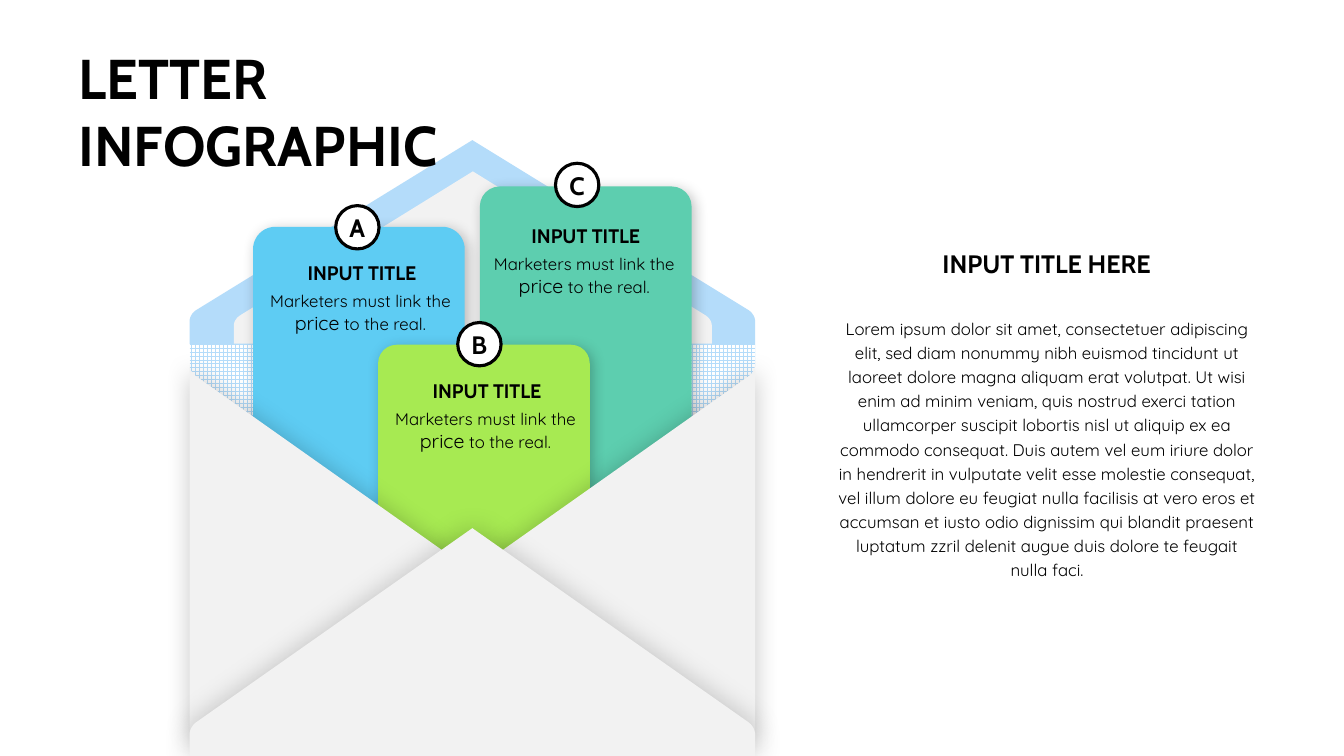
"""Build the letter infographic slide: an open envelope holding three cards."""

from dataclasses import dataclass

from lxml.etree import SubElement
from pptx import Presentation
from pptx.dml.color import RGBColor
from pptx.enum.dml import MSO_PATTERN
from pptx.enum.shapes import MSO_SHAPE
from pptx.enum.text import MSO_ANCHOR, MSO_AUTO_SIZE, PP_ALIGN
from pptx.oxml.ns import qn
from pptx.shapes.autoshape import Shape
from pptx.slide import Slide
from pptx.text.text import Font
from pptx.util import Inches, Pt

BLACK = RGBColor(0x00, 0x00, 0x00)
WHITE = RGBColor(0xFF, 0xFF, 0xFF)
PAPER = RGBColor(0xF2, 0xF2, 0xF2)
PALE_BLUE = RGBColor(0xB4, 0xDC, 0xFA)
TEAL = RGBColor(0x5D, 0xCE, 0xAF)
SKY = RGBColor(0x5E, 0xCC, 0xF3)
LIME = RGBColor(0xA7, 0xEA, 0x52)

HEADING_FONT = "Cabin"
BODY_FONT = "Quicksand"
BADGE_SIZE = 0.43
CARD_WIDTH = 2.1
CURVE_STEPS = 6

LOREM = (
    "Lorem ipsum dolor sit amet, consectetuer adipiscing elit, sed diam nonummy nibh "
    "euismod tincidunt ut laoreet dolore magna aliquam erat volutpat. Ut wisi enim ad "
    "minim veniam, quis nostrud exerci tation ullamcorper suscipit lobortis nisl ut "
    "aliquip ex ea commodo consequat. Duis autem vel eum iriure dolor in hendrerit in "
    "vulputate velit esse molestie consequat, vel illum dolore eu feugiat nulla "
    "facilisis at vero eros et accumsan et iusto odio dignissim qui blandit praesent "
    "luptatum zzril delenit augue duis dolore te feugait nulla faci."
)


@dataclass(frozen=True)
class Shadow:
    opacity: int
    blur: int
    distance: int = 0
    angle: int = 0


@dataclass(frozen=True)
class Panel:
    left: float
    width: float
    base: float
    shoulder: float
    bend: float
    apex: float
    color: RGBColor
    grid: bool = False
    shadow: Shadow | None = None


@dataclass(frozen=True)
class Card:
    letter: str
    left: float
    top: float
    height: float
    corner: float
    color: RGBColor
    text_left: float
    text_top: float
    badge_left: float
    badge_top: float


CARD_SHADOW = Shadow(24, 10, 3, 45)
BACK_PANELS = (
    Panel(1.88, 5.61, 3.41, 3.19, 3.08, 1.39, PALE_BLUE),
    Panel(2.32, 4.74, 3.41, 3.23, 3.13, 1.7, PAPER),
    Panel(1.88, 5.61, 3.41, 3.62, 3.73, 5.67, PALE_BLUE, grid=True),
)
FRONT_PANELS = (
    Panel(1.88, 5.61, 7.29, 3.62, 3.73, 5.67, PAPER, shadow=Shadow(21, 18)),
    Panel(1.88, 5.61, 7.5, 7.29, 7.17, 5.24, PAPER, shadow=Shadow(21, 20)),
)
CARDS = (
    Card("C", 4.76, 1.85, 4.57, 0.094, TEAL, 4.8, 2.47, 5.51, 1.62),
    Card("A", 2.51, 2.25, 4.57, 0.106, SKY, 2.58, 2.84, 3.33, 2.04),
    Card("B", 3.75, 3.42, 4.08, 0.088, LIME, 3.82, 4.01, 4.54, 3.2),
)


def style_font(font: Font, name: str, size: int, bold: bool = False) -> None:
    font.name, font.size, font.bold = name, Pt(size), bold
    font.color.rgb = BLACK


def set_shadow(shape: Shape, shadow: Shadow | None) -> None:
    shape.shadow.inherit = False
    if shadow is None:
        return
    effects = shape.element.spPr.find(qn("a:effectLst"))
    outer = SubElement(
        effects, qn("a:outerShdw"), blurRad=str(Pt(shadow.blur)),
        dist=str(Pt(shadow.distance)), dir=str(shadow.angle * 60000),
        algn="ctr", rotWithShape="0",
    )
    color = SubElement(outer, qn("a:srgbClr"), val=str(BLACK))
    SubElement(color, qn("a:alpha"), val=str(shadow.opacity * 1000))


def shoulder_curve(panel: Panel) -> list[tuple[float, float]]:
    rise = panel.bend - panel.shoulder
    points = []
    for step in range(CURVE_STEPS + 1):
        t = step / CURVE_STEPS
        across = 3 * (1 - t) * t**2 * 0.02 + t**3 * 0.06
        along = 3 * (1 - t) ** 2 * t * 0.36 + 3 * (1 - t) * t**2 * 0.73 + t**3
        points.append((panel.left + across, panel.shoulder + rise * along))
    return points


def draw_panel(page: Slide, panel: Panel) -> None:
    middle = panel.left + panel.width / 2
    half = [(panel.left, panel.base), *shoulder_curve(panel)]
    mirrored = [(2 * middle - x, y) for x, y in reversed(half)]
    outline = [(Inches(x), Inches(y)) for x, y in [*half, (middle, panel.apex), *mirrored]]
    builder = page.shapes.build_freeform(*outline[0])
    builder.add_line_segments(outline[1:], close=True)
    shape = builder.convert_to_shape()
    if panel.grid:
        shape.fill.patterned()
        shape.fill.pattern = MSO_PATTERN.LARGE_GRID
        shape.fill.fore_color.rgb = panel.color
        shape.fill.back_color.rgb = WHITE
    else:
        shape.fill.solid()
        shape.fill.fore_color.rgb = panel.color
    shape.line.fill.background()
    set_shadow(shape, panel.shadow)


def draw_card(page: Slide, card: Card) -> None:
    shape = page.shapes.add_shape(
        MSO_SHAPE.ROUNDED_RECTANGLE, Inches(card.left), Inches(card.top),
        Inches(CARD_WIDTH), Inches(card.height),
    )
    shape.adjustments[0] = card.corner
    shape.fill.solid()
    shape.fill.fore_color.rgb = card.color
    shape.line.fill.background()
    set_shadow(shape, CARD_SHADOW)


def add_text(
    page: Slide, left: float, top: float, width: float, height: float,
    spans: list[tuple[str, int]], name: str, bold: bool = False, spacing: float = 1.0,
) -> None:
    box = page.shapes.add_textbox(Inches(left), Inches(top), Inches(width), Inches(height))
    box.text_frame.word_wrap = True
    para = box.text_frame.paragraphs[0]
    para.alignment = PP_ALIGN.CENTER
    para.line_spacing = spacing
    style_font(para.font, name, spans[0][1], bold)
    for text, size in spans:
        span = para.add_run()
        span.text = text
        if size != spans[0][1]:
            span.font.size = Pt(size)


def draw_card_text(page: Slide, card: Card) -> None:
    message = [("Marketers must link the ", 12), ("price", 14), (" to the real.", 12)]
    add_text(page, card.text_left, card.text_top, 1.99, 0.54, message, BODY_FONT)
    add_text(page, card.text_left + 0.1, card.text_top - 0.3, 1.82, 0.34,
             [("INPUT TITLE", 14)], HEADING_FONT, bold=True)


def draw_badge(page: Slide, card: Card) -> None:
    badge = page.shapes.add_shape(
        MSO_SHAPE.OVAL, Inches(card.badge_left), Inches(card.badge_top),
        Inches(BADGE_SIZE), Inches(BADGE_SIZE),
    )
    badge.fill.solid()
    badge.fill.fore_color.rgb = WHITE
    badge.line.color.rgb = BLACK
    badge.line.width = Pt(2.25)
    set_shadow(badge, None)
    frame = badge.text_frame
    frame.margin_left = frame.margin_right = frame.margin_top = frame.margin_bottom = 0
    frame.vertical_anchor = MSO_ANCHOR.MIDDLE
    para = frame.paragraphs[0]
    para.text, para.alignment = card.letter, PP_ALIGN.CENTER
    style_font(para.font, HEADING_FONT, 18, bold=True)


def place_title(page: Slide) -> None:
    title = page.shapes.title
    title.left, title.top = Inches(0.68), Inches(0.38)
    title.width, title.height = Inches(5.43), Inches(0.77)
    frame = title.text_frame
    frame.word_wrap, frame.auto_size = True, MSO_AUTO_SIZE.NONE
    frame.vertical_anchor = MSO_ANCHOR.TOP
    para = frame.paragraphs[0]
    para.text, para.alignment = "LETTER INFOGRAPHIC", PP_ALIGN.LEFT
    style_font(para.font, HEADING_FONT, 40, bold=True)
    page.shapes.element.append(title.element)


def main() -> None:
    deck = Presentation()
    deck.slide_width, deck.slide_height = Inches(13.33), Inches(7.5)
    page = deck.slides.add_slide(deck.slide_layouts[5])
    for panel in BACK_PANELS:
        draw_panel(page, panel)
    for card in CARDS:
        draw_card(page, card)
    for panel in FRONT_PANELS:
        draw_panel(page, panel)
    for card in CARDS:
        draw_card_text(page, card)
        draw_badge(page, card)
    add_text(page, 8.2, 3.07, 4.37, 2.74, [(LOREM, 12)], BODY_FONT, spacing=1.2)
    add_text(page, 8.92, 2.41, 2.92, 0.4, [("INPUT TITLE HERE", 18)], HEADING_FONT, bold=True)
    place_title(page)
    deck.save("out.pptx")


if __name__ == "__main__":
    main()
